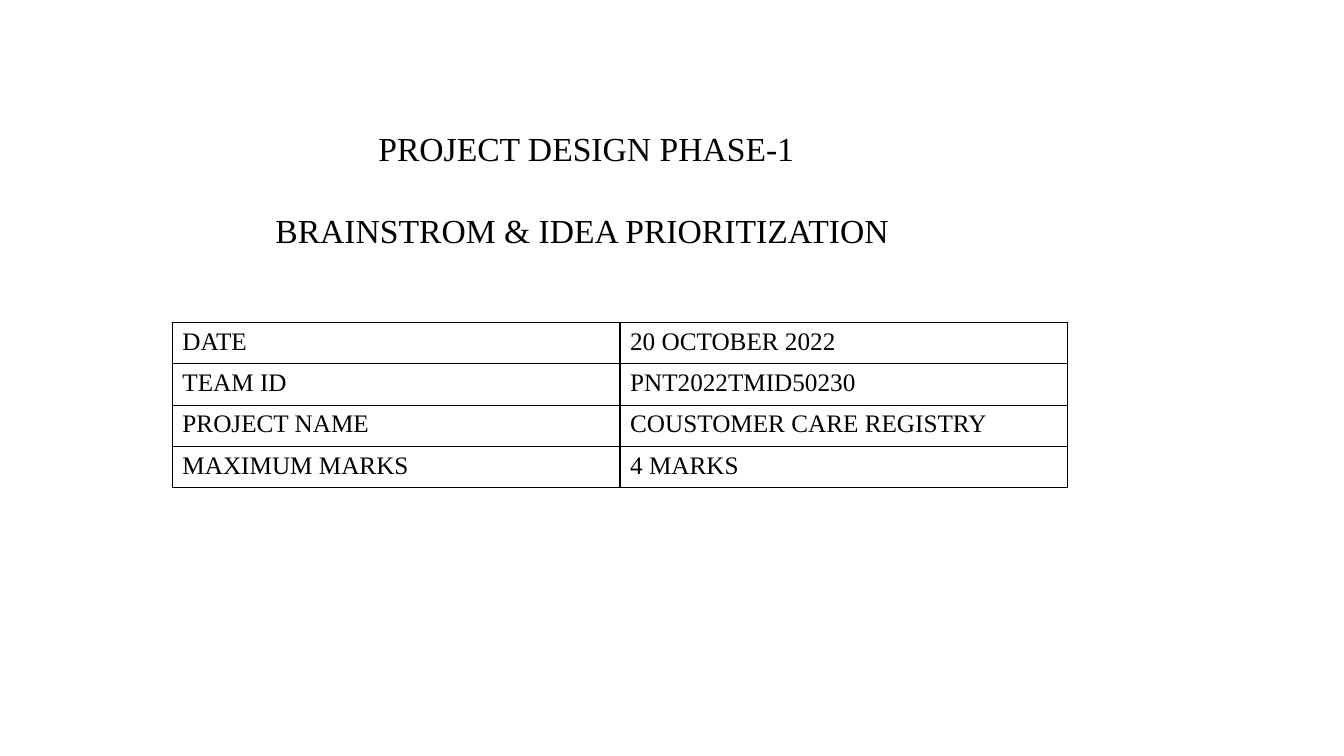
from dataclasses import dataclass
from lxml.etree import SubElement as Sub
from pptx import Presentation
from pptx.dml.color import RGBColor as Rgb
from pptx.enum.text import MSO_ANCHOR as Anchor, PP_ALIGN as Align
from pptx.oxml.ns import qn
from pptx.util import Inches, Pt

HEADS = ["PROJECT DESIGN PHASE-1", "BRAINSTROM & IDEA PRIORITIZATION "]
FACTS = [
    ("DATE", "20 OCTOBER 2022"),
    ("TEAM ID", "PNT2022TMID50230"),
    ("PROJECT NAME", "COUSTOMER CARE REGISTRY"),
    ("MAXIMUM MARKS", "4 MARKS"),
]


@dataclass(frozen=True)
class Theme:
    font: str = "Times New Roman"
    ink: str = "000000"
    head: int = 24
    body: int = 18
    rule: int = 1


THEME = Theme()


def write(para, text, size):
    run = para.add_run()
    run.text = text
    run.font.name = THEME.font
    run.font.size = Pt(size)
    run.font.bold = False
    run.font.color.rgb = Rgb.from_string(THEME.ink)


def edge(cell):
    props = cell._tc.get_or_add_tcPr()
    for side in ("lnL", "lnR", "lnT", "lnB"):
        line = Sub(props, qn(f"a:{side}"), w=str(Pt(THEME.rule)))
        fill = Sub(line, qn("a:solidFill"))
        Sub(fill, qn("a:srgbClr"), val=THEME.ink)


def add_title(slide):
    title = slide.shapes.title
    title.left, title.top = Inches(2.1), Inches(1.23)
    title.width, title.height = Inches(7.43), Inches(1.5)
    frame = title.text_frame
    frame.word_wrap = True
    frame.vertical_anchor = Anchor.TOP
    frame.margin_left = frame.margin_right = frame.margin_bottom = 0
    frame.margin_top = Inches(0.04)
    for i, text in enumerate(HEADS):
        para = frame.add_paragraph() if i else frame.paragraphs[0]
        para.alignment = Align.CENTER
        para.space_before = Pt(30 if i else 0)
        write(para, text, THEME.head)


def add_facts(slide):
    rows, cols = len(FACTS), len(FACTS[0])
    high, wide = Inches(0.41), Inches(4.44)
    table = slide.shapes.add_table(
        rows, cols, Inches(1.71), Inches(3.2), wide * cols, high * rows
    ).table
    table.first_row = table.horz_banding = False
    for col in table.columns:
        col.width = wide
    for row, fact in zip(table.rows, FACTS):
        row.height = high
        for cell, text in zip(row.cells, fact):
            edge(cell)
            cell.fill.background()
            write(cell.text_frame.paragraphs[0], text, THEME.body)


def main():
    deck = Presentation()
    deck.slide_width, deck.slide_height = Inches(13.33), Inches(7.5)
    slide = deck.slides.add_slide(deck.slide_layouts[5])
    add_title(slide)
    add_facts(slide)
    deck.save("out.pptx")


if __name__ == "__main__":
    main()
